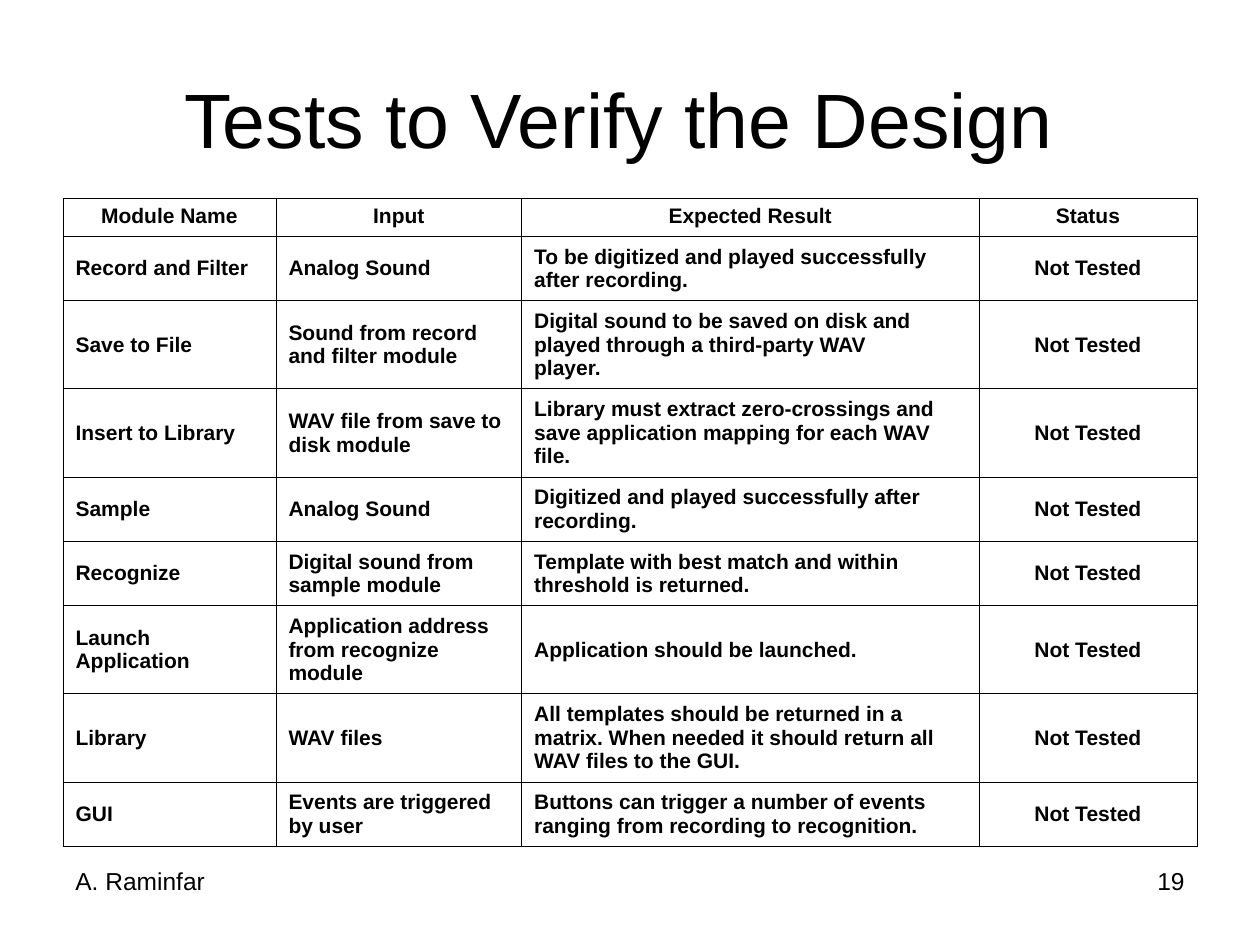
import dataclasses

import lxml.etree
import pptx
import pptx.dml.color
import pptx.enum.text
import pptx.oxml.ns
import pptx.util

ALIGN = pptx.enum.text.PP_ALIGN
ANCHOR = pptx.enum.text.MSO_ANCHOR


@dataclasses.dataclass(frozen=True)
class Theme:
    font: str = "Arial"
    ink: str = "000000"
    title_size: float = 44
    footer_size: float = 14
    table_size: float = 12
    border_width: float = 0.45


THEME = Theme()
SLIDE_WIDTH = pptx.util.Inches(10)
SLIDE_HEIGHT = pptx.util.Inches(7.5)

# Table grid, in inches; a row's height follows its largest line count
MARGIN = 0.05  # share of the slide width
TABLE_TOP = 0.21  # share of the slide height
COLUMN_WIDTHS = [1.69, 1.95, 3.63, 1.73]
ROW_HEIGHTS = {1: 0.3, 2: 0.51, 3: 0.7}
HANGING_INDENT = 0.38

HEADERS = ["Module Name", "Input", "Expected Result", "Status"]
STATUS = "Not Tested"
TESTS = [
    ("Record and Filter", "Analog Sound",
     "To be digitized and played successfully\nafter recording."),
    ("Save to File", "Sound from record\nand filter module",
     "Digital sound to be saved on disk and\nplayed through a third-party WAV\nplayer."),
    ("Insert to Library", "WAV file from save to\ndisk module",
     "Library must extract zero-crossings and\nsave application mapping for each WAV\nfile."),
    ("Sample", "Analog Sound",
     "Digitized and played successfully after\nrecording."),
    ("Recognize", "Digital sound from\nsample module",
     "Template with best match and within\nthreshold is returned."),
    ("Launch\nApplication", "Application address\nfrom recognize\nmodule",
     "Application should be launched."),
    ("Library", "WAV files",
     "All templates should be returned in a\nmatrix. When needed it should return all\nWAV files to the GUI."),
    ("GUI", "Events are triggered\nby user",
     "Buttons can trigger a number of events\nranging from recording to recognition."),
]


def style_text(text_frame, size, alignment, bold=False):
    for paragraph in text_frame.paragraphs:
        paragraph.alignment = alignment
        for run in paragraph.runs:
            run.font.name = THEME.font
            run.font.size = pptx.util.Pt(size)
            run.font.bold = bold
            run.font.color.rgb = pptx.dml.color.RGBColor.from_string(THEME.ink)


def add_text(slide, text, left, top, width, height, size, alignment, anchor=ANCHOR.TOP):
    """Add a text box; lengths are shares of the slide's size."""
    shape = slide.shapes.add_textbox(
        round(left * SLIDE_WIDTH), round(top * SLIDE_HEIGHT),
        round(width * SLIDE_WIDTH), round(height * SLIDE_HEIGHT))
    text_frame = shape.text_frame
    text_frame.word_wrap = True
    text_frame.vertical_anchor = anchor
    text_frame.text = text
    style_text(text_frame, size, alignment)


def add_borders(cell):
    properties = cell._tc.get_or_add_tcPr()
    qualify = pptx.oxml.ns.qn
    for position, side in enumerate(("lnL", "lnR", "lnT", "lnB")):
        line = lxml.etree.Element(
            qualify(f"a:{side}"), w=str(pptx.util.Pt(THEME.border_width)))
        fill = lxml.etree.SubElement(line, qualify("a:solidFill"))
        lxml.etree.SubElement(fill, qualify("a:srgbClr"), val=THEME.ink)
        properties.insert(position, line)


def fill_cell(cell, text, alignment, anchor):
    cell.fill.background()
    cell.vertical_anchor = anchor
    cell.text_frame.text = text
    indent = pptx.util.Inches(HANGING_INDENT)
    for paragraph in cell.text_frame.paragraphs:
        properties = paragraph._p.get_or_add_pPr()
        properties.set("marL", str(indent))
        properties.set("indent", str(-indent))
    style_text(cell.text_frame, THEME.table_size, alignment, bold=True)
    add_borders(cell)


def add_test_table(slide):
    rows = [HEADERS] + [(*test, STATUS) for test in TESTS]
    heights = [ROW_HEIGHTS[max(text.count("\n") + 1 for text in row)] for row in rows]
    table = slide.shapes.add_table(
        len(rows), len(HEADERS),
        round(MARGIN * SLIDE_WIDTH), round(TABLE_TOP * SLIDE_HEIGHT),
        pptx.util.Inches(sum(COLUMN_WIDTHS)), pptx.util.Inches(sum(heights))).table
    table.first_row = False
    table.horz_banding = False

    for column, width in zip(table.columns, COLUMN_WIDTHS):
        column.width = pptx.util.Inches(width)
    for row_index, (row, height) in enumerate(zip(rows, heights)):
        table.rows[row_index].height = pptx.util.Inches(height)
        is_header = row_index == 0
        anchor = ANCHOR.TOP if is_header else ANCHOR.MIDDLE
        for column_index, text in enumerate(row):
            centered = is_header or column_index == len(HEADERS) - 1
            alignment = ALIGN.CENTER if centered else ALIGN.LEFT
            fill_cell(table.cell(row_index, column_index), text, alignment, anchor)


def main():
    presentation = pptx.Presentation()
    presentation.slide_width = SLIDE_WIDTH
    presentation.slide_height = SLIDE_HEIGHT
    slide = presentation.slides.add_slide(presentation.slide_layouts[6])

    # Title
    add_text(slide, "Tests to Verify the Design ", MARGIN, 0.04, 1 - 2 * MARGIN, 0.17,
             THEME.title_size, ALIGN.CENTER, ANCHOR.MIDDLE)

    # Test plan
    add_test_table(slide)

    # Footer: page number on the right, author on the left
    footer_width = 0.23
    for text, left, alignment in (
            ("19", 1 - MARGIN - footer_width, ALIGN.RIGHT),
            ("A. Raminfar", MARGIN, ALIGN.LEFT)):
        add_text(slide, text, left, 0.91, footer_width, 0.07,
                 THEME.footer_size, alignment)

    presentation.save("out.pptx")


if __name__ == "__main__":
    main()
